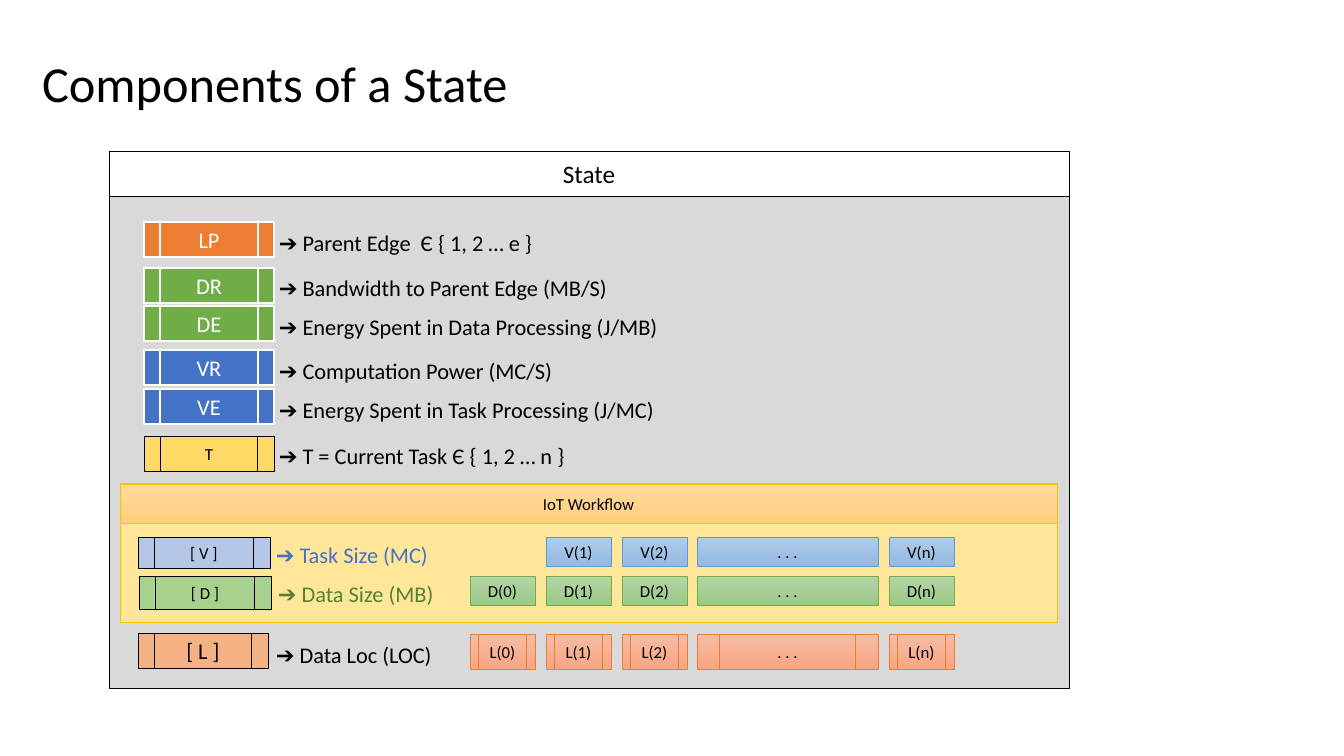
"""Build the slide that lists the components of a state."""
from pptx import Presentation
from pptx import util as u
from pptx.dml.color import RGBColor
from pptx.enum import shapes, text

SCALE = 9144000 / 1008
FONT = "Calibri"
BLACK = RGBColor(0, 0, 0)
WHITE = RGBColor(255, 255, 255)
GREY = RGBColor(0xD9, 0xD9, 0xD9)
ORANGE = RGBColor(0xED, 0x7D, 0x31)
GREEN = RGBColor(0x70, 0xAD, 0x47)
DARK_GREEN = RGBColor(0x54, 0x82, 0x35)
BLUE = RGBColor(0x44, 0x72, 0xC4)
SKY = RGBColor(0x5B, 0x9B, 0xD5)
GOLD = RGBColor(0xFF, 0xC0, 0x00)
YELLOW = RGBColor(0xFF, 0xD9, 0x66)
PALE_YELLOW = RGBColor(0xFF, 0xE6, 0x99)
PALE_BLUE = RGBColor(0xB4, 0xC7, 0xE7)
PALE_GREEN = RGBColor(0xA9, 0xD1, 0x8E)
PALE_ORANGE = RGBColor(0xF4, 0xB1, 0x83)
GOLD_FADE = (RGBColor(0xFF, 0xDB, 0x9E), RGBColor(0xFF, 0xD0, 0x7C))
BLUE_FADE = (RGBColor(0xB1, 0xCB, 0xE9), RGBColor(0x93, 0xB9, 0xE4))
GREEN_FADE = (RGBColor(0xB5, 0xD5, 0xA7), RGBColor(0x9C, 0xC9, 0x87))
ORANGE_FADE = (RGBColor(0xF7, 0xBD, 0xA5), RGBColor(0xF8, 0xA5, 0x82))
RECTANGLE = shapes.MSO_SHAPE.RECTANGLE
PROCESS = shapes.MSO_SHAPE.FLOWCHART_PREDEFINED_PROCESS

PARAMETERS = [
    ("LP", "Parent Edge  Є { 1, 2 … e }", 222, 224, ORANGE),
    ("DR", "Bandwidth to Parent Edge (MB/S)", 268, 269, GREEN),
    ("DE", "Energy Spent in Data Processing (J/MB)", 306, 308, GREEN),
    ("VR", "Computation Power (MC/S)", 350, 352, BLUE),
    ("VE", "Energy Spent in Task Processing (J/MC)", 389, 391, BLUE),
]
VECTORS = [
    ("[ V ]", "Task Size (MC)", (138, 537, 132, 31), (266, 536), PALE_BLUE, BLUE, 12),
    ("[ D ]", "Data Size (MB)", (139, 576, 132, 33), (268, 575), PALE_GREEN, DARK_GREEN, 12),
    ("[ L ]", "Data Loc (LOC)", (138, 633, 130, 35), (266, 636), PALE_ORANGE, BLACK, 16),
]
COLUMNS = [("0", 470, 65), ("1", 546, 65), ("2", 622, 65), ("…", 697, 181), ("n", 889, 65)]
CELL_ROWS = [
    ("V", COLUMNS[1:], 537, 29, RECTANGLE, BLUE_FADE, SKY),
    ("D", COLUMNS, 576, 29, RECTANGLE, GREEN_FADE, GREEN),
    ("L", COLUMNS, 634, 35, PROCESS, ORANGE_FADE, ORANGE),
]


def px(*lengths):
    """Turn pixel lengths into EMU."""
    return [u.Emu(round(length * SCALE)) for length in lengths]


def write(shape, wording, size, color, align=text.PP_ALIGN.LEFT):
    """Put one formatted paragraph into a shape."""
    paragraph = shape.text_frame.paragraphs[0]
    paragraph.text = wording
    paragraph.alignment = align
    paragraph.font.name = FONT
    paragraph.font.size = u.Pt(size)
    paragraph.font.color.rgb = color


def add_box(parent, kind, box, fill, line, wording="", size=12, color=BLACK, weight=0.5):
    """Add a preset shape with a plain or fading fill and centred text."""
    shape = parent.add_shape(kind, *px(*box))
    shape.shadow.inherit = False
    if isinstance(fill, RGBColor):
        shape.fill.solid()
        shape.fill.fore_color.rgb = fill
    else:
        shape.fill.gradient()
        shape.fill.gradient_angle = 270
        for stop, stop_color in zip(shape.fill.gradient_stops, fill):
            stop.color.rgb = stop_color
    shape.line.color.rgb = line
    shape.line.width = u.Pt(weight)
    if wording:
        frame = shape.text_frame
        frame.margin_left = frame.margin_right = 0
        frame.margin_top = frame.margin_bottom = 0
        frame.vertical_anchor = text.MSO_ANCHOR.MIDDLE
        write(shape, wording, size, color, text.PP_ALIGN.CENTER)


def add_label(parent, left, top, wording, color=BLACK):
    """Add the arrowed explanation beside a component."""
    label = parent.add_textbox(*px(left, top, 433, 37))
    label.text_frame.word_wrap = True
    write(label, f"➔ {wording}", 16, color)


def add_title(slide, wording):
    """Place and format the title."""
    title = slide.shapes.title
    title.left, title.top, title.width, title.height = px(32, 47, 490, 72)
    title.text_frame.word_wrap = False
    title.text_frame.vertical_anchor = text.MSO_ANCHOR.TOP
    write(title, wording, 36, BLACK)


def add_parameters(parent):
    """Add the single-valued components."""
    for name, meaning, top, label_top, fill in PARAMETERS:
        add_box(parent, PROCESS, (144, top, 130, 35), fill, WHITE, name, 16, WHITE, 1.5)
        add_label(parent, 269, label_top, meaning)
    add_box(parent, PROCESS, (144, 436, 130, 35), YELLOW, BLACK, "T")
    add_label(parent, 269, 437, "T = Current Task Є { 1, 2 … n }")


def add_vectors(parent):
    """Add the vector components and their cells."""
    for name, meaning, box, label_place, fill, color, size in VECTORS:
        add_box(parent, PROCESS, box, fill, BLACK, name, size)
        add_label(parent, *label_place, meaning, color)
    for name, columns, top, height, kind, fade, line in CELL_ROWS:
        for index, left, width in columns:
            wording = ". . ." if index == "…" else f"{name}({index})"
            add_box(parent, kind, (left, top, width, height), fade, line, wording)


def main():
    """Build and save the slide."""
    presentation = Presentation()
    presentation.slide_width, presentation.slide_height = px(1344, 756)
    slide = presentation.slides.add_slide(presentation.slide_layouts[5])
    add_title(slide, "Components of a State")
    diagram = slide.shapes.add_group_shape().shapes
    add_box(diagram, RECTANGLE, (109, 168, 960, 520), GREY, BLACK)
    add_box(diagram, RECTANGLE, (109, 151, 960, 45), WHITE, BLACK, "State", 18)
    add_parameters(diagram)
    add_box(diagram, RECTANGLE, (120, 483, 937, 139), PALE_YELLOW, GOLD)
    add_box(diagram, RECTANGLE, (120, 484, 937, 39), GOLD_FADE, GOLD, "IoT Workflow")
    add_vectors(diagram)
    presentation.save("out.pptx")


main()
